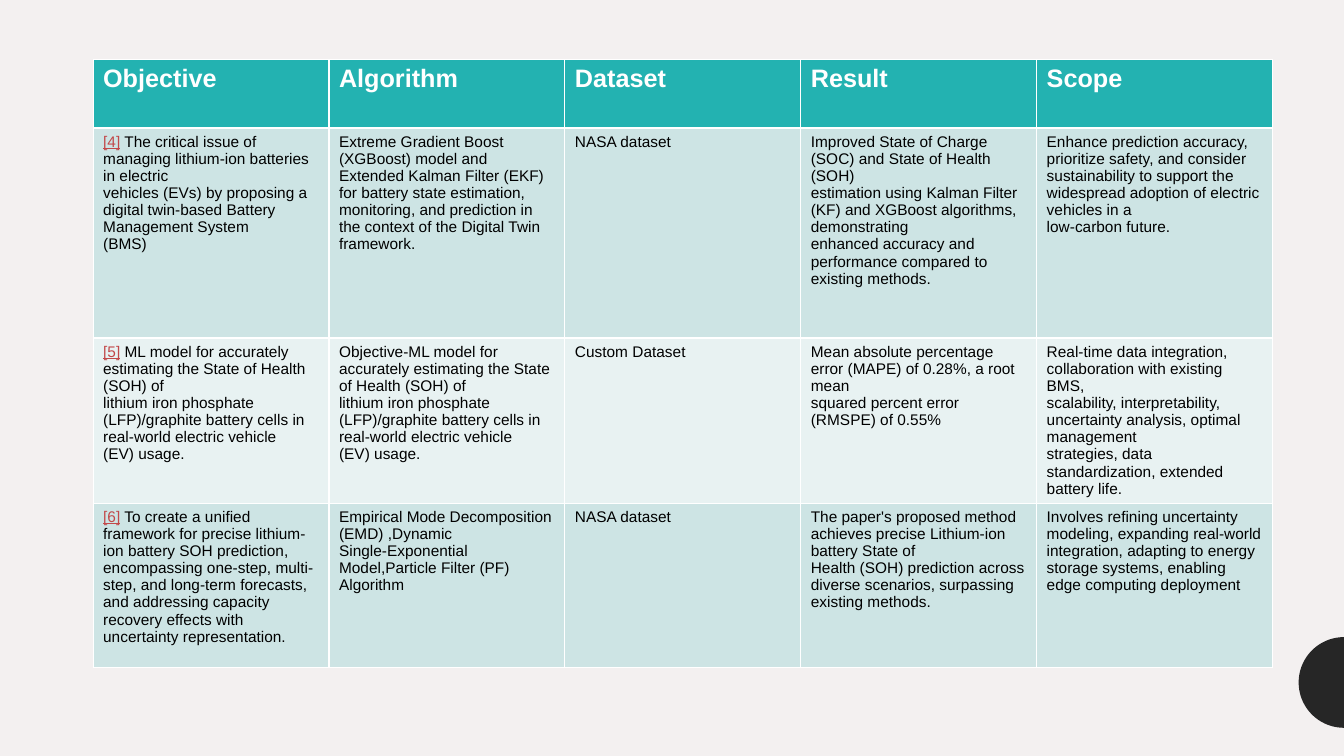
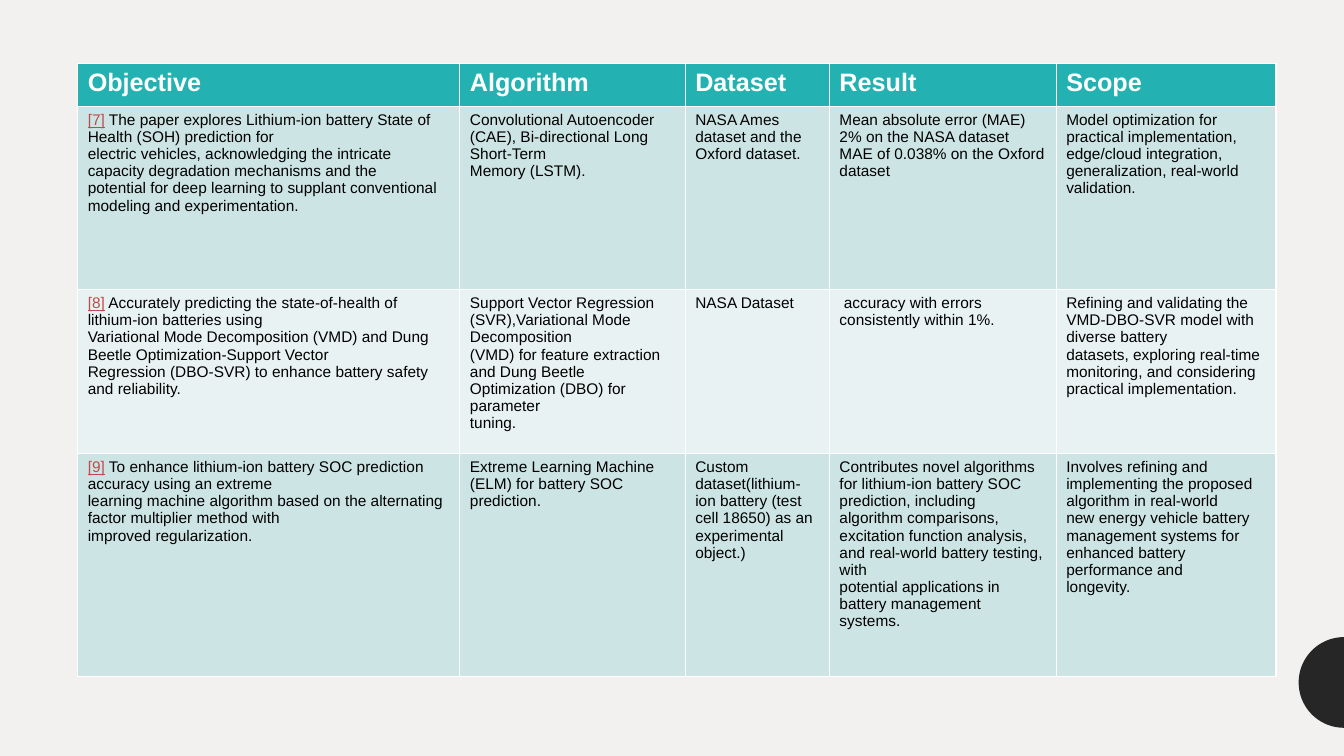
import dataclasses
import math

import pptx
import pptx.dml.color
import pptx.util

Pt = pptx.util.Pt
Rgb = pptx.dml.color.RGBColor.from_string


@dataclasses.dataclass(frozen=True)
class Theme:
    font: str = "Arial"
    head: int = 18
    body: int = 11
    page: str = "F3F0F0"
    disc: str = "262626"
    teal: str = "23B2B1"
    bands: tuple = ("CDE4E4", "E8F2F2")
    white: str = "FFFFFF"
    ink: str = "000000"
    cite: str = "C2494A"


theme = Theme()


def write(para, text, size=theme.body, color=theme.ink, bold=False, under=False):
    run = para.add_run()
    run.text = text
    font = run.font
    font.name, font.size = theme.font, Pt(size)
    font.bold, font.underline = bold, under
    font.color.rgb = Rgb(color)


heads = ["Objective", "Algorithm", "Dataset", "Result", "Scope"]

# Each line of a cell is a paragraph; a leading [n] is a citation.
first = [
    [
        "[4] The critical issue of managing lithium-ion batteries in electric\n"
        "vehicles (EVs) by proposing a digital twin-based Battery Management System\n"
        "(BMS)",
        "Extreme Gradient Boost (XGBoost) model and Extended Kalman Filter (EKF) "
        "for battery state estimation, monitoring, and prediction in the context "
        "of the Digital Twin framework.",
        "NASA dataset",
        "Improved State of Charge (SOC) and State of Health (SOH)\n"
        "estimation using Kalman Filter (KF) and XGBoost algorithms, demonstrating\n"
        "enhanced accuracy and performance compared to existing methods.",
        "Enhance prediction accuracy, prioritize safety, and consider\n"
        "sustainability to support the widespread adoption of electric vehicles in a\n"
        "low-carbon future.",
    ],
    [
        "[5] ML model for accurately estimating the State of Health (SOH) of\n"
        "lithium iron phosphate (LFP)/graphite battery cells in real-world electric vehicle\n"
        "(EV) usage.",
        "Objective-ML model for accurately estimating the State of Health (SOH) of\n"
        "lithium iron phosphate (LFP)/graphite battery cells in real-world electric vehicle\n"
        "(EV) usage.",
        "Custom Dataset",
        "Mean absolute percentage error (MAPE) of 0.28%, a root mean\n"
        "squared percent error (RMSPE) of 0.55%",
        "Real-time data integration, collaboration with existing BMS,\n"
        "scalability, interpretability, uncertainty analysis, optimal management\n"
        "strategies, data standardization, extended battery life.",
    ],
    [
        "[6] To create a unified framework for precise lithium-ion battery SOH "
        "prediction, encompassing one-step, multi-step, and long-term forecasts, and "
        "addressing capacity recovery effects with uncertainty representation.",
        "Empirical Mode Decomposition (EMD) ,Dynamic\n"
        "Single-Exponential Model,Particle Filter (PF) Algorithm",
        "NASA dataset",
        "The paper's proposed method achieves precise Lithium-ion battery State of\n"
        "Health (SOH) prediction across diverse scenarios, surpassing existing methods.",
        "Involves refining uncertainty modeling, expanding real-world\n"
        "integration, adapting to energy storage systems, enabling edge computing deployment",
    ],
]

second = [
    [
        "[7] The paper explores Lithium-ion battery State of Health (SOH) prediction for\n"
        "electric vehicles, acknowledging the intricate capacity degradation mechanisms and the\n"
        "potential for deep learning to supplant conventional modeling and experimentation.",
        "Convolutional Autoencoder (CAE), Bi-directional Long Short-Term\n"
        "Memory (LSTM).",
        "NASA Ames dataset and the Oxford dataset.",
        "Mean absolute error (MAE) 2% on the NASA dataset\n"
        "MAE of 0.038% on the Oxford dataset",
        "Model optimization for practical implementation, edge/cloud integration,\n"
        "generalization, real-world validation.",
    ],
    [
        "[8] Accurately predicting the state-of-health of lithium-ion batteries using\n"
        "Variational Mode Decomposition (VMD) and Dung Beetle Optimization-Support Vector\n"
        "Regression (DBO-SVR) to enhance battery safety and reliability.",
        "Support Vector Regression (SVR),Variational Mode Decomposition\n"
        "(VMD) for feature extraction and Dung Beetle Optimization (DBO) for parameter\n"
        "tuning.",
        "NASA Dataset",
        " accuracy with errors consistently within 1%.",
        "Refining and validating the VMD-DBO-SVR model with diverse battery\n"
        "datasets, exploring real-time monitoring, and considering practical implementation.",
    ],
    [
        "[9] To enhance lithium-ion battery SOC prediction accuracy using an extreme\n"
        "learning machine algorithm based on the alternating factor multiplier method with\n"
        "improved regularization.",
        "Extreme Learning Machine (ELM) for battery SOC prediction.",
        "Custom dataset(lithium-ion battery (test cell 18650) as an\n"
        "experimental object.)",
        "Contributes novel algorithms for lithium-ion battery SOC prediction, including\n"
        "algorithm comparisons, excitation function analysis, and real-world battery testing, with\n"
        "potential applications in battery management systems.",
        "Involves refining and implementing the proposed algorithm in real-world\n"
        "new energy vehicle battery management systems for enhanced battery performance and\n"
        "longevity.",
    ],
]

# Left, top, column widths, row heights and body rows of each table
tables = [
    (66.5, 42.5, [168.5] * 5, [49, 150, 118, 117.5], first),
    (55.5, 45.5, [273, 161, 103, 162, 157], [30.5, 131, 117, 159], second),
]

deck = pptx.Presentation()
deck.slide_width, deck.slide_height = Pt(960), Pt(540)
back = deck.slide_master.background.fill
back.solid()
back.fore_color.rgb = Rgb(theme.page)
blank = deck.slide_layouts[6]

for left, top, widths, heights, body in tables:
    slide = deck.slides.add_slide(blank)
    frame = slide.shapes.add_table(
        len(heights), len(widths), Pt(left), Pt(top), Pt(sum(widths)), Pt(sum(heights))
    )
    grid = frame.table
    for col, width in zip(grid.columns, widths):
        col.width = Pt(width)

    for num, (height, texts) in enumerate(zip(heights, [heads] + body)):
        row = grid.rows[num]
        row.height = Pt(height)
        for cell, text in zip(row.cells, texts):
            cell.fill.solid()
            if num == 0:
                cell.fill.fore_color.rgb = Rgb(theme.teal)
                write(cell.text_frame.paragraphs[0], text,
                      size=theme.head, color=theme.white, bold=True)
                continue
            cell.fill.fore_color.rgb = Rgb(theme.bands[(num - 1) % 2])
            for pos, line in enumerate(text.split("\n")):
                box = cell.text_frame
                para = box.add_paragraph() if pos else box.paragraphs[0]
                if line.startswith("["):
                    cite, line = line[:3], line[3:]
                    write(para, cite, color=theme.cite, under=True)
                write(para, line)

# The half disc at the right edge is drawn once and moved to the shared layout
mid, rad = 487.5, 32.4
arc = [math.radians(90 + 5 * step) for step in range(37)]
dots = [(Pt(960 + rad * math.cos(turn)), Pt(mid + rad * math.sin(turn))) for turn in arc]
pen = slide.shapes.build_freeform(*dots[0])
pen.add_line_segments(dots[1:], close=True)
disc = pen.convert_to_shape()
disc.shadow.inherit = False
disc.fill.solid()
disc.fill.fore_color.rgb = Rgb(theme.disc)
disc.line.fill.background()
blank.shapes.element.append(disc.element)

deck.save("out.pptx")
